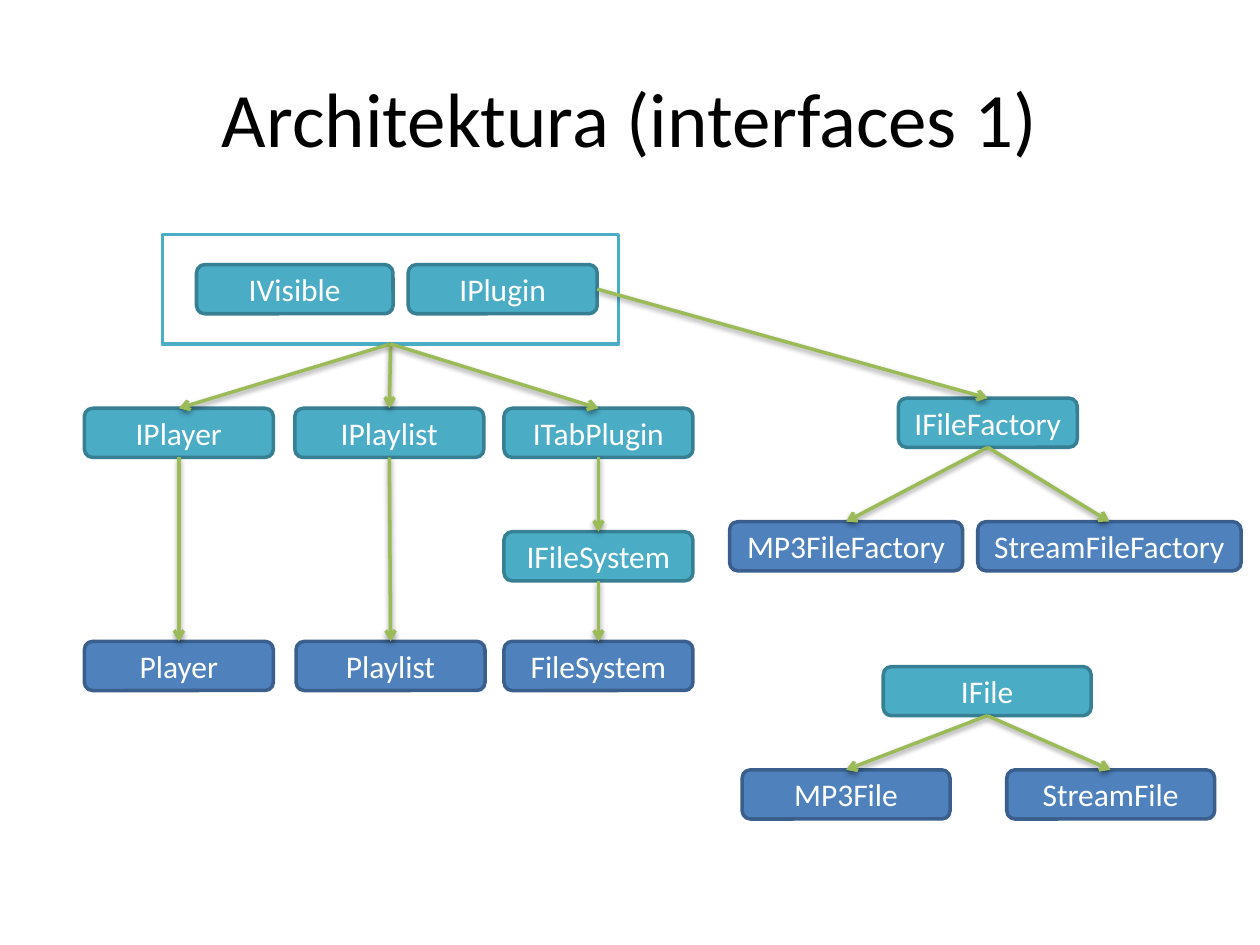
"""Build the slide with the interface hierarchy of the player architecture."""
from lxml.etree import SubElement as add_node
from pptx import Presentation
from pptx.dml.color import RGBColor
from pptx.enum.shapes import MSO_CONNECTOR as Connector, MSO_SHAPE as Shape
from pptx.enum.text import MSO_ANCHOR as Anchor, PP_ALIGN as Align
from pptx.oxml.ns import qn
from pptx.util import Emu, Inches, Pt

COLORS = {
    "interface": "4BACC6", "interface_edge": "377F92",
    "class": "4F81BD", "class_edge": "3A5F8C",
    "arrow": "9BBB59", "white": "FFFFFF", "black": "000000",
}
BOX_HEIGHT = 0.39
TOP, BOTTOM, RIGHT = 0, 2, 3

BOXES = [
    ("interface", 2.1, [("IVisible", 1.56, 1.56), ("IPlugin", 3.24, 1.5)]),
    ("interface", 3.24, [("IPlayer", 0.67, 1.5), ("IPlaylist", 2.34, 1.5),
                         ("ITabPlugin", 4, 1.5)]),
    ("interface", 3.16, [("IFileFactory", 7.13, 1.42)]),
    ("interface", 4.22, [("IFileSystem", 4, 1.5)]),
    ("class", 5.09, [("Player", 0.67, 1.5), ("Playlist", 2.35, 1.5),
                     ("FileSystem", 4, 1.5)]),
    ("class", 4.14, [("MP3FileFactory", 5.79, 1.85),
                     ("StreamFileFactory", 7.76, 2.09)]),
    ("interface", 5.29, [("IFile", 7.01, 1.65)]),
    ("class", 6.11, [("MP3File", 5.89, 1.65), ("StreamFile", 7.99, 1.65)]),
]
ARROWS = [
    ("frame", BOTTOM, ["IPlayer", "IPlaylist", "ITabPlugin"]),
    ("IPlugin", RIGHT, ["IFileFactory"]),
    ("IPlayer", BOTTOM, ["Player"]),
    ("IPlaylist", BOTTOM, ["Playlist"]),
    ("ITabPlugin", BOTTOM, ["IFileSystem"]),
    ("IFileSystem", BOTTOM, ["FileSystem"]),
    ("IFileFactory", BOTTOM, ["MP3FileFactory", "StreamFileFactory"]),
    ("IFile", BOTTOM, ["MP3File", "StreamFile"]),
]


def color(name):
    return RGBColor.from_string(COLORS[name])


def write_text(shape, text, size=18, fill="white"):
    frame = shape.text_frame
    frame.word_wrap = True
    frame.vertical_anchor = Anchor.MIDDLE
    para = frame.paragraphs[0]
    para.alignment = Align.CENTER
    span = para.add_run()
    span.text = text
    span.font.name = "Calibri"
    span.font.size = Pt(size)
    span.font.color.rgb = color(fill)


def add_title(page, text):
    title = page.shapes.add_textbox(Inches(0.5), Inches(0.3), Inches(9), Inches(1.25))
    write_text(title, text, size=44, fill="black")


def add_box(page, kind, left, top, width, height, fill, edge):
    box = page.shapes.add_shape(
        kind, Inches(left), Inches(top), Inches(width), Inches(height))
    box.shadow.inherit = False
    box.fill.solid()
    box.fill.fore_color.rgb = color(fill)
    box.line.color.rgb = color(edge)
    box.line.width = Pt(2)
    return box


def add_label_box(page, text, role, left, top, width):
    box = add_box(page, Shape.ROUNDED_RECTANGLE, left, top, width, BOX_HEIGHT,
                  role, f"{role}_edge")
    box.text_frame.margin_left = box.text_frame.margin_right = Emu(0)
    write_text(box, text)
    return box


def add_shadow(properties):
    effects = add_node(properties, qn("a:effectLst"))
    shadow = add_node(effects, qn("a:outerShdw"), blurRad=str(Pt(3.1)),
                      dist=str(Pt(1.6)), dir="5400000", rotWithShape="0")
    tint = add_node(shadow, qn("a:srgbClr"), val=COLORS["black"])
    add_node(tint, qn("a:alpha"), val="38000")


def add_arrow(page, source, site, target):
    arrow = page.shapes.add_connector(Connector.STRAIGHT, 0, 0, 0, 0)
    arrow.begin_connect(source, site)
    arrow.end_connect(target, TOP)
    arrow.line.color.rgb = color("arrow")
    arrow.line.width = Pt(2)
    properties = arrow._element.spPr
    add_node(properties.find(qn("a:ln")), qn("a:tailEnd"), type="arrow")
    add_shadow(properties)


def main():
    deck = Presentation()
    deck.slide_width, deck.slide_height = Inches(10), Inches(7.5)
    page = deck.slides.add_slide(deck.slide_layouts[6])

    nodes = {"frame": add_box(page, Shape.RECTANGLE, 1.29, 1.86, 3.62, 0.87,
                              "white", "interface")}
    add_title(page, "Architektura (interfaces 1)")
    for role, top, row in BOXES:
        for text, left, width in row:
            nodes[text] = add_label_box(page, text, role, left, top, width)
    for source, site, targets in ARROWS:
        for target in targets:
            add_arrow(page, nodes[source], site, nodes[target])
    deck.save("out.pptx")


main()
